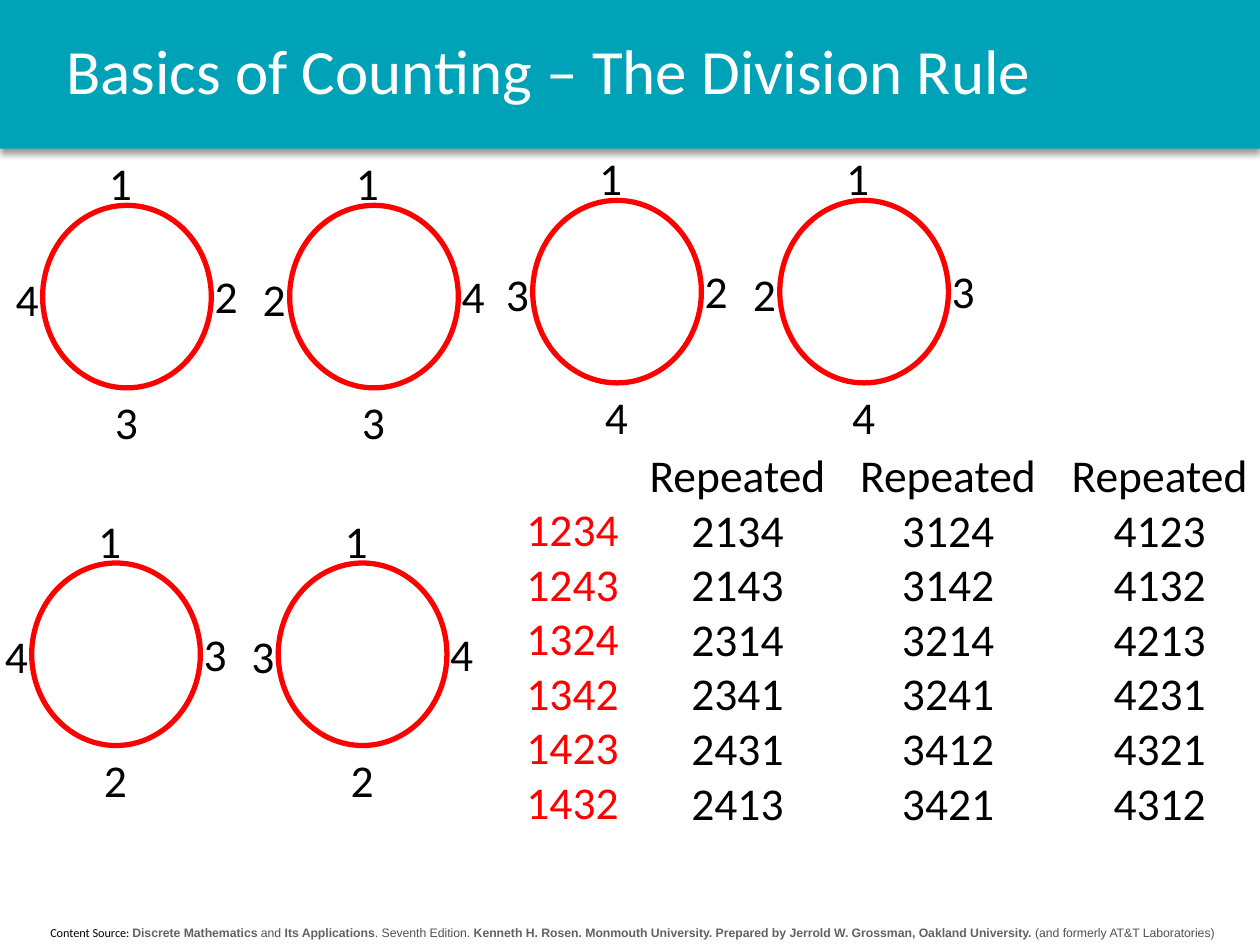
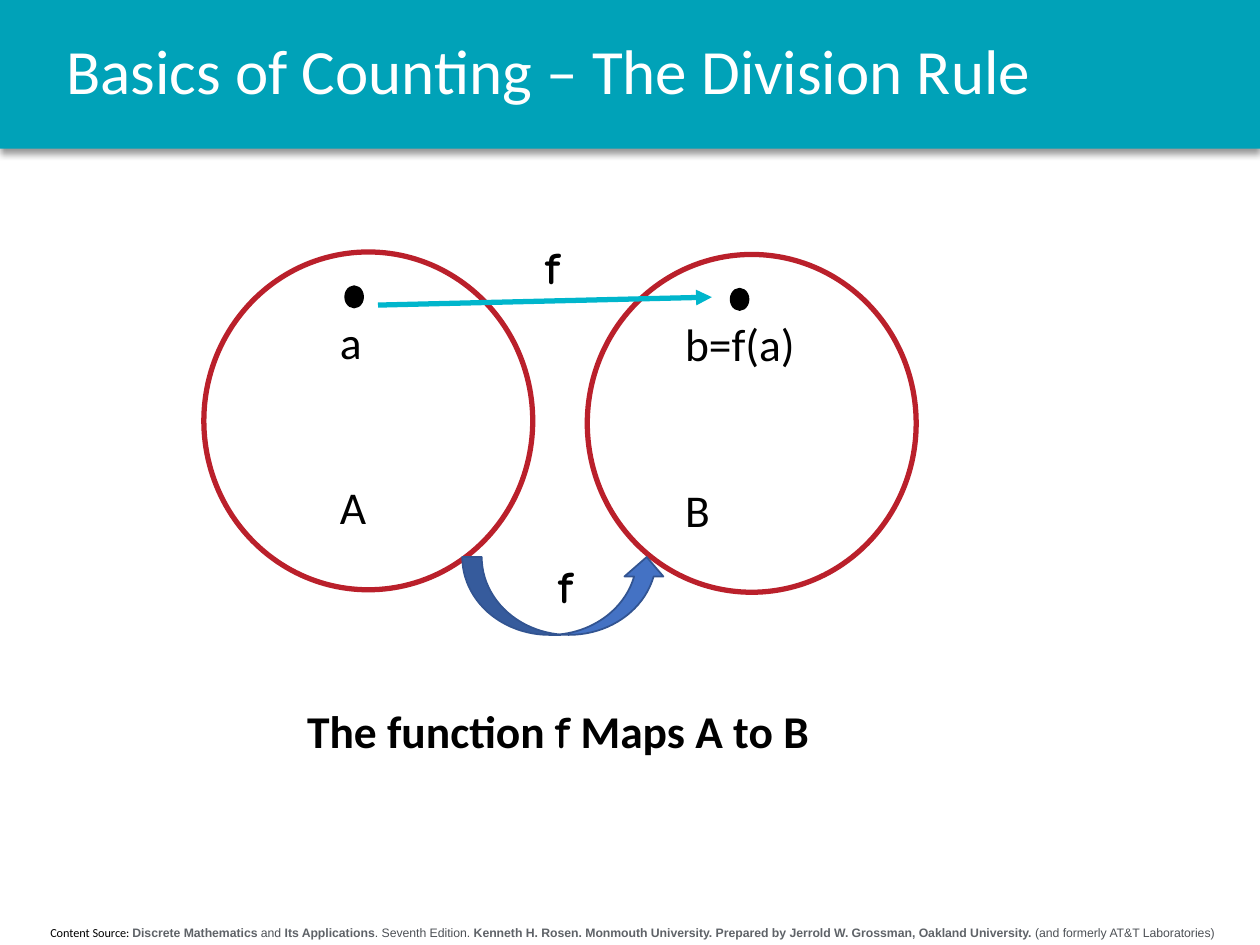
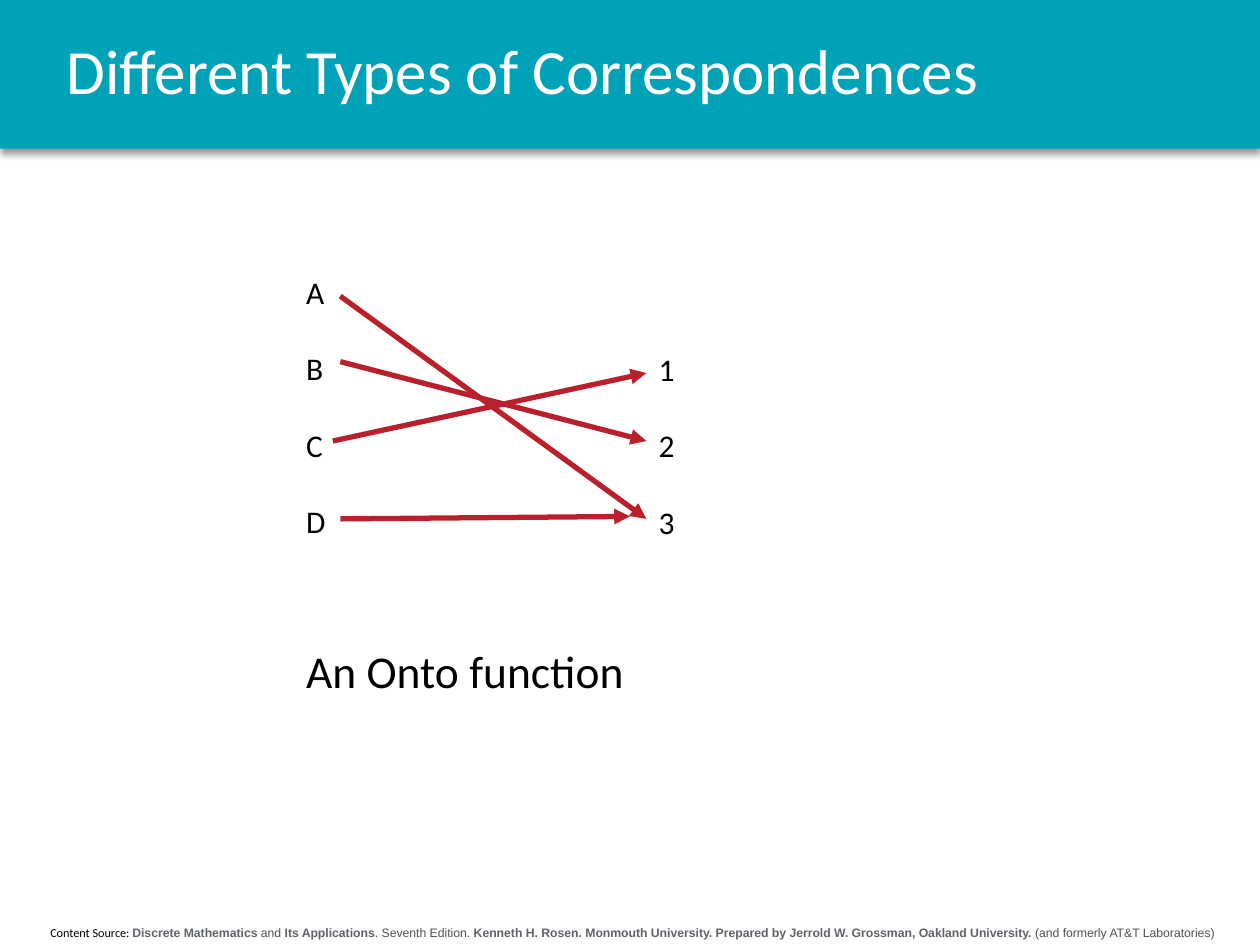
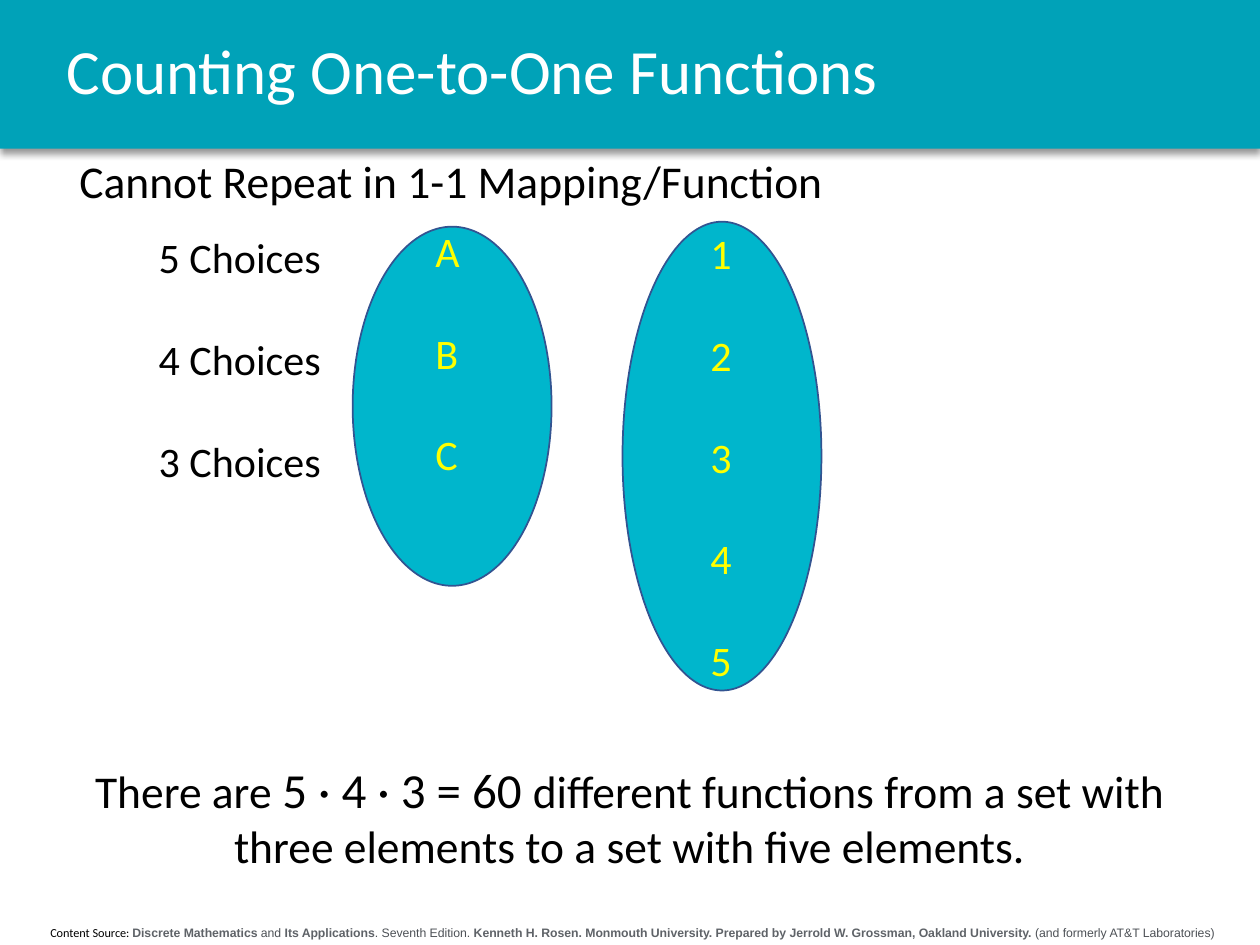
from lxml.etree import SubElement
from pptx import Presentation
from pptx.dml.color import RGBColor
from pptx.enum.shapes import MSO_CONNECTOR as LINK, MSO_SHAPE as SHAPE
from pptx.enum.text import MSO_ANCHOR as ANCHOR, PP_ALIGN as ALIGN
from pptx.oxml.ns import qn
from pptx.util import Cm, Pt

COLORS = {
    "band": "00A2B8", "cyan": "00B6CC", "white": "FFFFFF", "black": "000000",
    "red": "FF0000", "crimson": "BA202B", "blue": "4472C4", "navy": "325491",
    "yellow": "FFFF00", "source": "5F6368", "detail": "4D5156",
}
STYLES = {
    "title": {"name": "Calibri", "size": Pt(36)},
    "body": {"name": "Calibri", "size": Pt(26)},
    "bold": {"name": "Calibri", "size": Pt(26), "bold": True},
    "function": {"name": "Comic Neue", "size": Pt(26), "bold": True},
    "result": {"name": "Calibri", "size": Pt(28)},
    "choice": {"name": "Calibri", "size": Pt(24)},
    "element": {"name": "Calibri", "size": Pt(18)},
    "footer": {"name": "Calibri", "size": Pt(7)},
    "source": {"name": "Arial", "size": Pt(7), "bold": True},
    "detail": {"name": "Arial", "size": Pt(7), "bold": False},
}
LINE_HEIGHT = 1.22  # Calibri line height relative to its size


def write(slide, box, lines, style="body", color="black", align=ALIGN.LEFT, skip=0):
    """Add text; a line is a string or a list of (text, style, color) runs.

    skip is the number of line heights left free between paragraphs.
    """
    frame = slide.shapes.add_textbox(*map(Cm, box)).text_frame
    frame.word_wrap = True
    for number, line in enumerate(lines):
        paragraph = frame.add_paragraph() if number else frame.paragraphs[0]
        paragraph.alignment = align
        if number and skip:
            paragraph.space_before = Pt(round(STYLES[style]["size"].pt * LINE_HEIGHT * skip, 1))
        runs = [(line, style, color)] if isinstance(line, str) else line
        for text, run_style, run_color in runs:
            run = paragraph.add_run()
            run.text = text
            for attribute, value in STYLES[run_style].items():
                setattr(run.font, attribute, value)
            run.font.color.rgb = RGBColor.from_string(COLORS[run_color])
    return frame


def draw(slide, kind, box, fill, outline=None, weight=1):
    shape = slide.shapes.add_shape(kind, *map(Cm, box))
    shape.shadow.inherit = False
    shape.fill.solid()
    shape.fill.fore_color.rgb = RGBColor.from_string(COLORS[fill])
    if outline:
        shape.line.color.rgb = RGBColor.from_string(COLORS[outline])
        shape.line.width = Pt(weight)
    else:
        shape.line.fill.background()
    return shape


deck = Presentation()
deck.slide_width, deck.slide_height = Cm(25.4), Cm(19.05)

# Band, footer and title of every slide
CREDIT = [
    ("Content Source: ", "footer", "black"),
    ("Discrete Mathematics", "source", "source"),
    (" and ", "detail", "detail"),
    ("Its Applications", "source", "source"),
    (". Seventh Edition. ", "detail", "detail"),
    ("Kenneth H. Rosen. Monmouth University. Prepared by Jerrold W. Grossman, "
     "Oakland University.", "source", "source"),
    (" (and formerly AT&T Laboratories)", "detail", "detail"),
]
TITLES = [
    "Basics of Counting – The Division Rule",
    "Basics of Counting – The Division Rule",
    "Different Types of Correspondences",
    "Counting One-to-One Functions",
]
slides = []
for title in TITLES:
    slide = deck.slides.add_slide(deck.slide_layouts[6])
    band = draw(slide, SHAPE.RECTANGLE, (0, 0, 25.4, 3), "band")
    effects = band._element.spPr.find(qn("a:effectLst"))
    shadow = SubElement(effects, qn("a:outerShdw"), blurRad=str(Pt(4)), dist=str(Pt(3)),
                        dir="5400000", algn="t", rotWithShape="0")
    tint = SubElement(shadow, qn("a:srgbClr"), val=COLORS["black"])
    SubElement(tint, qn("a:alpha"), val="40000")
    write(slide, (0.1, 18.52, 25.3, 0.56), [CREDIT], align=ALIGN.CENTER)
    heading = write(slide, (1.09, 0, 23.62, 3), [title], "title", "white")
    heading.vertical_anchor = ANCHOR.MIDDLE
    heading.paragraphs[0].line_spacing = 0.9
    slides.append(slide)
seating, mapping, onto, one_to_one = slides

# Slide 1: round tables, seats read clockwise from the top
SEAT_OFFSETS = [(0.82, -1.14), (2.95, 1.14), (0.94, 3.68), (-1.06, 1.19)]
ROUND_TABLES = [
    (0.86, 4.14, "1234"), (5.84, 4.14, "1432"), (10.74, 4.04, "1243"),
    (15.72, 4.04, "1342"), (0.64, 11.35, "1324"), (5.61, 11.35, "1423"),
]
for left, top, guests in ROUND_TABLES:
    draw(seating, SHAPE.OVAL, (left, top, 3.4, 3.68), "white", "red", 3)
    for guest, (across, down) in zip(guests, SEAT_OFFSETS):
        write(seating, (left + across, top + down, 1.5, 1.36), [guest], align=ALIGN.CENTER)

write(seating, (10.11, 9.98, 2.87, 6.93), "1234 1243 1324 1342 1423 1432".split(),
      color="red", align=ALIGN.CENTER)
REPEATED = [
    (12.29, 5.16, "2134 2143 2314 2341 2431 2413"),
    (16.89, 4.45, "3124 3142 3214 3241 3412 3421"),
    (20.93, 4.9, "4123 4132 4213 4231 4321 4312"),
]
for left, width, orders in REPEATED:
    write(seating, (left, 8.89, width, 8.03), ["Repeated", *orders.split()], align=ALIGN.CENTER)

# Slide 2: function f from set A to set B
SETS = [
    (4.11, 5.08, 6.6, 1.63, ["a", "A"], 6.96),
    (11.84, 5.13, 13.56, 3.91, ["b=f(a)", "B"], 14.73),
]
for left, top, *_ in SETS:
    draw(mapping, SHAPE.OVAL, (left, top, 6.63, 6.81), "white", "crimson", 3)
for left, top, label_left, label_width, labels, dot_left in SETS:
    write(mapping, (label_left, top + 1.12, label_width, 4.7), labels, skip=2)
    draw(mapping, SHAPE.OVAL, (dot_left, top + 0.69, 0.36, 0.43), "black", "black")
draw(mapping, SHAPE.CURVED_UP_ARROW, (9.32, 11.23, 4.11, 1.57), "blue", "navy")
for left, top in [(10.74, 4.7), (11, 11.13)]:
    write(mapping, (left, top, 1.09, 1.37), ["f"], "function")
write(mapping, (5.94, 14.05, 13.06, 1.37), [[
    ("The function ", "bold", "black"),
    ("f", "function", "black"),
    (" Maps A to B", "bold", "black"),
]])

# Slide 3: onto function
write(onto, (5.92, 5.38, 0.94, 6.4), list("ABCD"), "element", skip=1)
write(onto, (13.03, 6.93, 0.94, 4.85), list("123"), "element", skip=1)
write(onto, (5.92, 12.83, 9.42, 1.37), ["An Onto function"])

# Slide 4: choices for a one-to-one function
draw(one_to_one, SHAPE.OVAL, (7.11, 4.57, 4.01, 7.24), "cyan", "navy")
write(one_to_one, (8.53, 4.42, 1.47, 5.38), list("ABC"), "choice", "yellow", skip=1)
draw(one_to_one, SHAPE.OVAL, (12.55, 4.47, 4.01, 9.45), "cyan", "navy")
write(one_to_one, (14.07, 4.47, 1.47, 10.52), list("12345"), "choice", "yellow", skip=1)
write(one_to_one, (0.89, 15.19, 23.62, 2.57), [[
    ("There are ", "body", "black"),
    ("5 · 4 · 3 = 60 ", "result", "black"),
    ("different functions from a set with three elements to a set with five elements.",
     "body", "black"),
]], align=ALIGN.CENTER)
write(one_to_one, (2.95, 4.55, 5.33, 5.38), [f"{count} Choices" for count in (5, 4, 3)],
      "choice", skip=1)
write(one_to_one, (1.35, 2.97, 23.62, 1.37), ["Cannot Repeat in 1-1 Mapping/Function"])

# Arrows of slides 2 and 3
ARROWS = [
    (mapping, "cyan", (7.62, 6.15, 14.35, 5.99)),
    (onto, "crimson", (6.86, 5.97, 13.03, 10.46)),
    (onto, "crimson", (6.86, 7.29, 13.03, 8.89)),
    (onto, "crimson", (6.71, 8.89, 13.03, 7.52)),
    (onto, "crimson", (6.86, 10.46, 12.7, 10.41)),
]
for slide, color, ends in ARROWS:
    arrow = slide.shapes.add_connector(LINK.STRAIGHT, *map(Cm, ends))
    arrow.line.color.rgb = RGBColor.from_string(COLORS[color])
    arrow.line.width = Pt(3)
    properties = arrow._element.spPr
    SubElement(properties.find(qn("a:ln")), qn("a:tailEnd"), type="triangle")
    SubElement(properties, qn("a:effectLst"))

deck.save("out.pptx")
